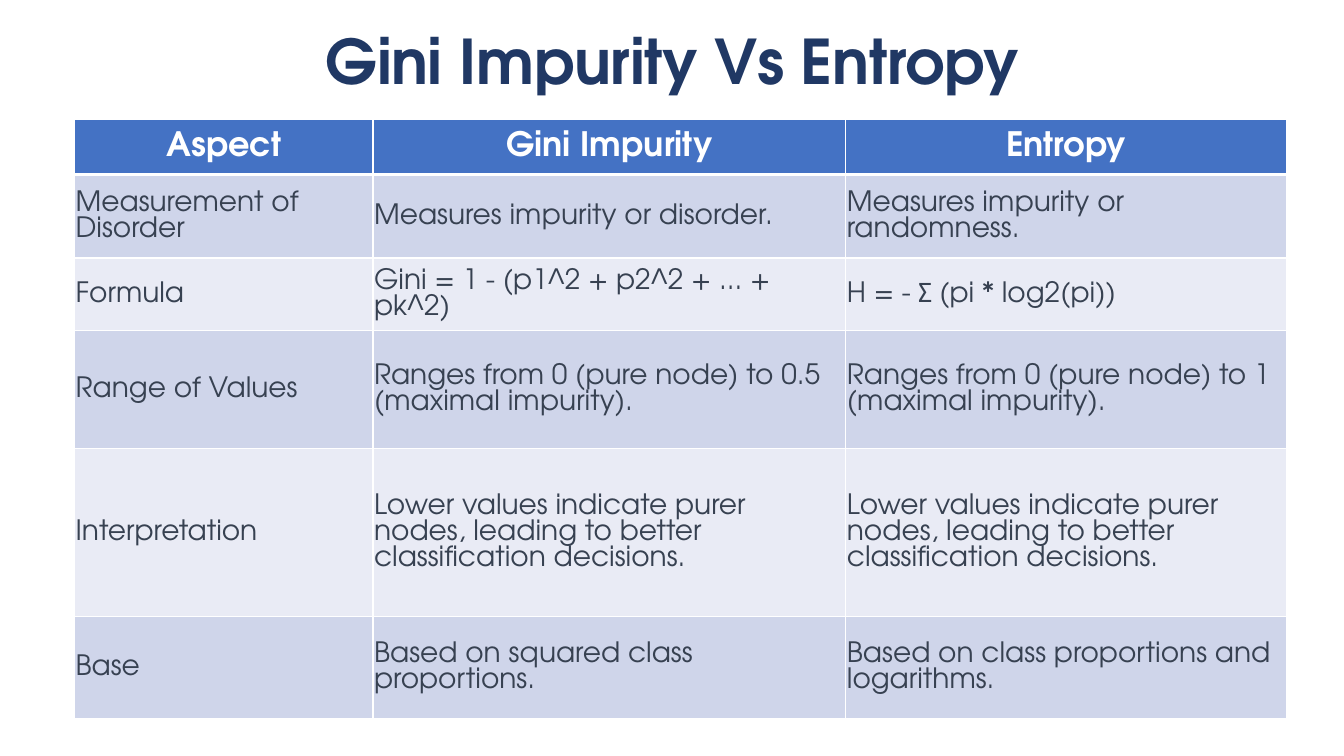
import pptx
import pptx.dml.color
import pptx.enum.text
import pptx.oxml
import pptx.oxml.ns
import pptx.util

FONT = "TeX Gyre Adventor"
COLORS = {
    "title": "203864",
    "header": "4472C4",
    "body_text": "374151",
    "odd_row": "CFD5EA",
    "even_row": "E9EBF5",
    "white": "FFFFFF",
}
SLIDE_SIZE = (13.33, 7.5)
TITLE_BOX = (3.22, 0.29, 7.06, 0.7)
COMPARISON_BOX = (0.74, 1.18, 12.02, 5.95)
COLUMN_WIDTHS = (2.96, 4.69, 4.37)
ROW_HEIGHTS = (0.55, 0.83, 0.72, 1.17, 1.67, 1.01)
COMPARISON = [
    ("Aspect", "Gini Impurity", "Entropy"),
    ("Measurement of Disorder", "Measures impurity or disorder.",
     "Measures impurity or randomness."),
    ("Formula", "Gini = 1 - (p1^2 + p2^2 + ... + pk^2)", "H = - Σ (pi * log2(pi))"),
    ("Range of Values", "Ranges from 0 (pure node) to 0.5 (maximal impurity).",
     "Ranges from 0 (pure node) to 1 (maximal impurity)."),
    ("Interpretation",
     "Lower values indicate purer nodes, leading to better classification decisions.",
     "Lower values indicate purer nodes, leading to better classification decisions."),
    ("Base", "Based on squared class proportions.",
     "Based on class proportions and logarithms."),
]


def rgb(name):
    """Return the named palette colour."""
    return pptx.dml.color.RGBColor.from_string(COLORS[name])


def write_text(frame, text, size, color, bold=False, align="LEFT", tracking=None):
    """Write one formatted paragraph into a text frame."""
    paragraph = frame.paragraphs[0]
    paragraph.alignment = getattr(pptx.enum.text.PP_ALIGN, align)
    run = paragraph.add_run()
    run.text = text
    run.font.name = FONT
    run.font.size = pptx.util.Pt(size)
    run.font.bold = bold
    run.font.color.rgb = rgb(color)
    if tracking is not None:
        run.font._element.set("spc", str(round(tracking * 100)))
    return paragraph


def set_insets(target, left, top, right, bottom):
    """Set the inner margins of a cell or text frame in inches."""
    for side, inset in zip(("left", "top", "right", "bottom"), (left, top, right, bottom)):
        setattr(target, f"margin_{side}", pptx.util.Inches(inset))


def set_borders(cell, top=1, bottom=1):
    """Draw white borders around a cell, with widths in points."""
    properties = cell._tc.get_or_add_tcPr()
    for side, width in (("L", 1), ("R", 1), ("T", top), ("B", bottom)):
        properties.append(pptx.oxml.parse_xml(
            f'<a:ln{side} {pptx.oxml.ns.nsdecls("a")} w="{pptx.util.Pt(width)}">'
            f'<a:solidFill><a:srgbClr val="{COLORS["white"]}"/></a:solidFill></a:ln{side}>'))


def place_title(slide, box):
    """Place and format the slide title in its box."""
    title = slide.shapes.title
    title.left, title.top, title.width, title.height = map(pptx.util.Inches, box)
    frame = title.text_frame
    frame.word_wrap = True
    frame.auto_size = pptx.enum.text.MSO_AUTO_SIZE.NONE
    frame.vertical_anchor = pptx.enum.text.MSO_ANCHOR.MIDDLE
    set_insets(frame, 0.01, 0.01, 0, 0)
    heading = write_text(frame, "Gini Impurity Vs Entropy", size=44, color="title",
                         bold=True, tracking=-0.3)
    heading.line_spacing = 0.9
    heading.space_before = pptx.util.Pt(1)


def place_comparison(slide, box):
    """Place the comparison table, sharing the box among its columns and rows."""
    left, top, width, height = map(pptx.util.Inches, box)
    table = slide.shapes.add_table(
        len(ROW_HEIGHTS), len(COLUMN_WIDTHS), left, top, width, height).table
    for column, share in zip(table.columns, COLUMN_WIDTHS):
        column.width = round(width * share / sum(COLUMN_WIDTHS))
    for row, share in zip(table.rows, ROW_HEIGHTS):
        row.height = round(height * share / sum(ROW_HEIGHTS))
    for row_index, entries in enumerate(COMPARISON):
        is_header = row_index == 0
        fill = "header" if is_header else "odd_row" if row_index % 2 else "even_row"
        style = (dict(size=24, color="white", bold=True, align="CENTER") if is_header
                 else dict(size=20, color="body_text"))
        for column_index, entry in enumerate(entries):
            cell = table.cell(row_index, column_index)
            set_insets(cell, 0.01, 0.01, 0.01, 0)
            cell.vertical_anchor = pptx.enum.text.MSO_ANCHOR.MIDDLE
            set_borders(cell, top=3 if row_index == 1 else 1, bottom=3 if is_header else 1)
            cell.fill.solid()
            cell.fill.fore_color.rgb = rgb(fill)
            write_text(cell.text_frame, entry, **style)


def main():
    """Build and save the slide."""
    deck = pptx.Presentation()
    deck.slide_width, deck.slide_height = map(pptx.util.Inches, SLIDE_SIZE)
    slide = deck.slides.add_slide(deck.slide_layouts[5])
    place_title(slide, TITLE_BOX)
    place_comparison(slide, COMPARISON_BOX)
    deck.save("out.pptx")


if __name__ == "__main__":
    main()
